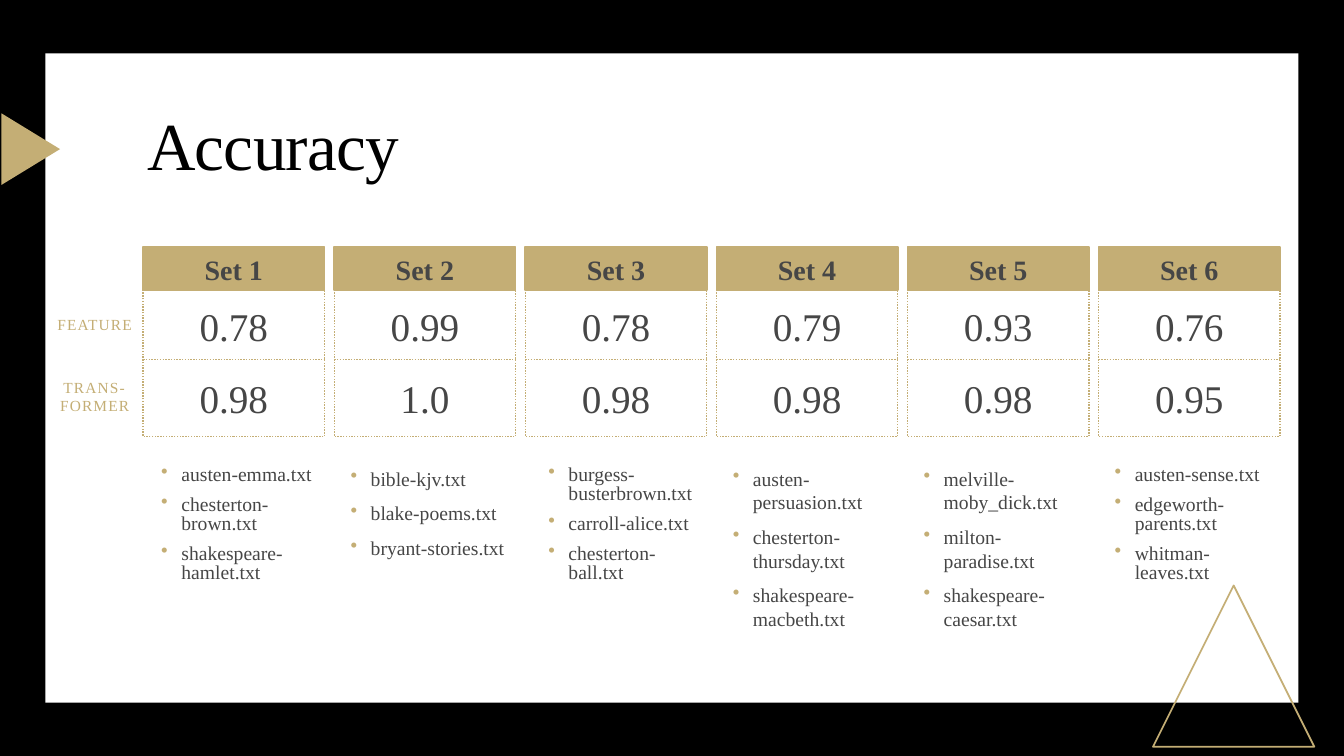
from lxml import etree
from pptx import Presentation
from pptx.dml.color import RGBColor
from pptx.enum.dml import MSO_LINE
from pptx.enum.shapes import MSO_CONNECTOR, MSO_SHAPE
from pptx.enum.text import MSO_ANCHOR, PP_ALIGN
from pptx.oxml.ns import qn
from pptx.util import Pt

RECT = MSO_SHAPE.RECTANGLE
TRI = MSO_SHAPE.ISOSCELES_TRIANGLE
LINE = MSO_CONNECTOR.STRAIGHT
DOT = MSO_LINE.ROUND_DOT  # written as sysDot
CENTER, LEFT = PP_ALIGN.CENTER, PP_ALIGN.LEFT
TOP, MIDDLE = MSO_ANCHOR.TOP, MSO_ANCHOR.MIDDLE

FONT = "Times New Roman"
COLORS = {"black": "000000", "white": "FFFFFF", "gold": "C4AE75", "gray": "464646"}

# Column grid
X0, STEP, WIDE = 102.25, 136.5, 129.6

# Feature score, transformer score, list shift, list line spacing, files
SETS = [
    ("0.78", "0.98", 0, 0.8,
     ["austen-emma.txt", "chesterton-brown.txt", "shakespeare-hamlet.txt"]),
    ("0.99", "1.0", -1.25, 1,
     ["bible-kjv.txt", "blake-poems.txt", "bryant-stories.txt"]),
    ("0.78", "0.98", 3.5, 0.8,
     ["burgess-busterbrown.txt", "carroll-alice.txt", "chesterton-ball.txt"]),
    ("0.79", "0.98", -1.25, 1,
     ["austen-persuasion.txt", "chesterton-thursday.txt", "shakespeare-macbeth.txt"]),
    ("0.93", "0.98", -1.5, 1,
     ["melville-moby_dick.txt", "milton-paradise.txt", "shakespeare-caesar.txt"]),
    ("0.76", "0.95", -1.5, 0.8,
     ["austen-sense.txt", "edgeworth-parents.txt", "whitman-leaves.txt"]),
]


def rgb(name):
    return RGBColor.from_string(COLORS[name])


def stroke(line, width, dash=None):
    line.color.rgb = rgb("gold")
    line.width = Pt(width)
    if dash:
        line.dash_style = dash


def add_form(slide, kind, x, y, w, h, fill=None, width=0, dash=None, turn=0):
    form = slide.shapes.add_shape(kind, Pt(x), Pt(y), Pt(w), Pt(h))
    form.shadow.inherit = False
    form.rotation = turn
    if fill:
        form.fill.solid()
        form.fill.fore_color.rgb = rgb(fill)
    else:
        form.fill.background()
    if width:
        stroke(form.line, width, dash)
    else:
        form.line.fill.background()


def add_rule(slide, x, y, w):
    rule = slide.shapes.add_connector(LINE, Pt(x), Pt(y), Pt(x + w), Pt(y))
    stroke(rule.line, 1, DOT)
    etree.SubElement(rule._element.spPr, qn("a:effectLst"))


def add_bullet(para):
    props = para._p.get_or_add_pPr()
    props.set("marL", str(Pt(27.36)))
    props.set("indent", str(Pt(-14.4)))
    tint = etree.SubElement(props, qn("a:buClr"))
    etree.SubElement(tint, qn("a:srgbClr"), val=COLORS["gold"])
    etree.SubElement(props, qn("a:buChar"), char="•")


def add_text(slide, x, y, w, h, lines, size, color="gray", bold=False, align=CENTER,
             anchor=TOP, side=0, space=1, track=0, bullet=False):
    box = slide.shapes.add_textbox(Pt(x), Pt(y), Pt(w), Pt(h))
    frame = box.text_frame
    frame.word_wrap = True
    frame.vertical_anchor = anchor
    frame.margin_left = frame.margin_right = Pt(side)
    frame.margin_top = frame.margin_bottom = Pt(3.6)
    for i, line in enumerate(lines):
        para = frame.add_paragraph() if i else frame.paragraphs[0]
        if bullet:
            add_bullet(para)
        para.alignment = align
        para.line_spacing = space
        para.space_before = Pt(6 if i else 0)
        para.space_after = Pt(2)
        run = para.add_run()
        run.text = line
        font = run.font
        font.name, font.size, font.bold = FONT, Pt(size), bold
        font.color.rgb = rgb(color)
        if track:
            run._r.get_or_add_rPr().set("spc", str(round(track * 100)))


def add_set(slide, num, data):
    first, second, shift, space, files = data
    x = X0 + num * STEP
    # Frame and header
    add_form(slide, RECT, x, 182.25, WIDE, 129.6, width=1, dash=DOT)
    add_form(slide, RECT, x, 176.4, WIDE, 31, fill="gold", width=1.25)
    add_text(slide, x, 177.1, WIDE, 28, [f"Set {num + 1}"], 20, bold=True)
    # Scores
    add_rule(slide, x, 257, WIDE)
    for y, score in ((212.4, first), (263.5, second)):
        add_text(slide, x, y, WIDE, 36, [score], 28)
    # Files
    add_text(slide, x + shift, 329.75, 125.3, 95.75, files, 14,
             align=LEFT, space=space, bullet=True)


def main():
    deck = Presentation()
    deck.slide_width, deck.slide_height = Pt(960), Pt(540)
    slide = deck.slides.add_slide(deck.slide_layouts[6])

    # Backdrop
    slide.background.fill.solid()
    slide.background.fill.fore_color.rgb = rgb("black")
    add_form(slide, RECT, 32.5, 38.2, 895, 463.7, fill="white")
    add_form(slide, TRI, 823.6, 418.2, 115.2, 115.2, width=1.25)
    add_form(slide, TRI, -3.6, 85.6, 51.1, 41.8, fill="gold", turn=90)

    # Title
    add_text(slide, 98, 70.5, 798.5, 72, ["Accuracy"], 48, "black",
             align=LEFT, anchor=MIDDLE, side=7.2, space=0.9, track=-0.5)

    # Columns
    for num, data in enumerate(SETS):
        add_set(slide, num, data)

    # Row labels
    for y, h, label in ((221.75, 21.6, "FEATURE"), (266.4, 31.7, "TRANS-FORMER")):
        add_text(slide, 33.1, y, 69.1, h, [label], 11, "gold", track=0.8)

    deck.save("out.pptx")


if __name__ == "__main__":
    main()
